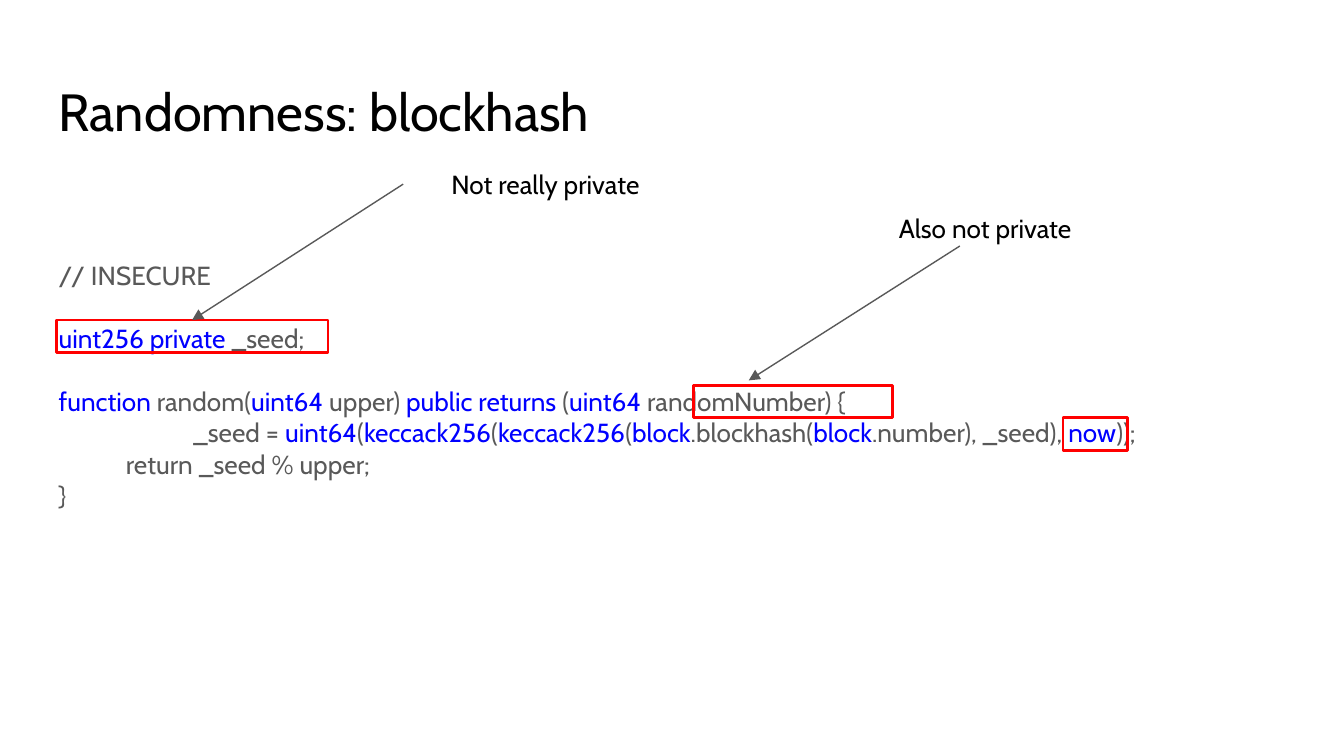
from lxml.etree import SubElement
from pptx import Presentation
from pptx.dml.color import RGBColor
from pptx.enum.shapes import MSO_CONNECTOR, MSO_SHAPE
from pptx.enum.text import MSO_ANCHOR, PP_ALIGN
from pptx.oxml.ns import qn
from pptx.util import Cm, Pt

BLACK = RGBColor(0x00, 0x00, 0x00)
GREY = RGBColor(0x59, 0x59, 0x59)
BLUE = RGBColor(0x00, 0x00, 0xFF)
RED = RGBColor(0xFF, 0x00, 0x00)
FONT = "Cabin"
CODE_SIZE = 14
LINE_GAP = 17
INSET = Cm(0.25)

TITLE = "Randomness: blockhash"
KEYWORD_MARK = "*"
CODE = [
    # gap before in points, first-line indent in cm, text
][:0] + [
    (0, 0, "// INSECURE"),
    (LINE_GAP, 0, "*uint256 private* _seed;"),
    (LINE_GAP, 0, "*function* random(*uint64* upper) *public returns* (*uint64* randomNumber) {"),
    (0, 2.54, "_seed = *uint64*(*keccack256*(*keccack256*(*block*.blockhash(*block*.number), _seed), *now*));"),
    (0, 1.27, "return _seed % upper;"),
    (0, 0, "}"),
]
HIGHLIGHTS = [(13.11, 7.29, 3.76), (20.09, 7.9, 1.22), (1.07, 6.05, 5.13)]
HIGHLIGHT_HEIGHT = 0.61
LABELS = [("Not really private", 7.62, 2.82), ("Also not private", 15.93, 3.66)]
ARROWS = [(7.62, 3.48, 3.63, 6.05), (18.14, 4.65, 14.15, 7.19)]


def add_text_frame(s, left, top, width, height, anchor=MSO_ANCHOR.TOP):
    tf = s.shapes.add_textbox(Cm(left), Cm(top), Cm(width), Cm(height)).text_frame
    tf.word_wrap = True
    tf.vertical_anchor = anchor
    tf.margin_left = tf.margin_right = tf.margin_top = tf.margin_bottom = INSET
    return tf


def style(r, size, color):
    r.font.name = FONT
    r.font.size = Pt(size)
    r.font.color.rgb = color


def add_code(s):
    tf = add_text_frame(s, 0.86, 4.65, 23.67, 5)
    for i, (gap, indent, line) in enumerate(CODE):
        p = tf.add_paragraph() if i else tf.paragraphs[0]
        p.space_before = Pt(gap)
        p._p.get_or_add_pPr().set("indent", str(Cm(indent)))
        for j, part in enumerate(line.split(KEYWORD_MARK)):
            if part:
                r = p.add_run()
                r.text = part
                style(r, CODE_SIZE, BLUE if j % 2 else GREY)


def add_highlight(s, left, top, width):
    sp = s.shapes.add_shape(
        MSO_SHAPE.RECTANGLE, Cm(left), Cm(top), Cm(width), Cm(HIGHLIGHT_HEIGHT))
    sp.shadow.inherit = False
    sp.fill.background()
    sp.line.color.rgb = RED
    sp.line.width = Pt(1.5)


def add_arrow(s, *ends):
    arrow = s.shapes.add_connector(MSO_CONNECTOR.STRAIGHT, *map(Cm, ends))
    arrow.line.color.rgb = GREY
    arrow.line.width = Pt(0.75)
    SubElement(arrow.line._get_or_add_ln(), qn("a:tailEnd"), type="triangle")
    SubElement(arrow._element.spPr, qn("a:effectLst"))


def main():
    prs = Presentation()
    prs.slide_width, prs.slide_height = Cm(25.4), Cm(14.29)
    s = prs.slides.add_slide(prs.slide_layouts[6])

    tf = add_text_frame(s, 0.86, 1.24, 23.67, 1.6)
    tf.text = TITLE
    style(tf.paragraphs[0].runs[0], 28, BLACK)

    add_code(s)
    for box in HIGHLIGHTS:
        add_highlight(s, *box)
    for text, left, top in LABELS:
        tf = add_text_frame(s, left, top, 5.38, 1.32, MSO_ANCHOR.MIDDLE)
        tf.text = text
        p = tf.paragraphs[0]
        p.alignment = PP_ALIGN.CENTER
        style(p.runs[0], CODE_SIZE, BLACK)
    for ends in ARROWS:
        add_arrow(s, *ends)

    prs.save("out.pptx")


if __name__ == "__main__":
    main()
